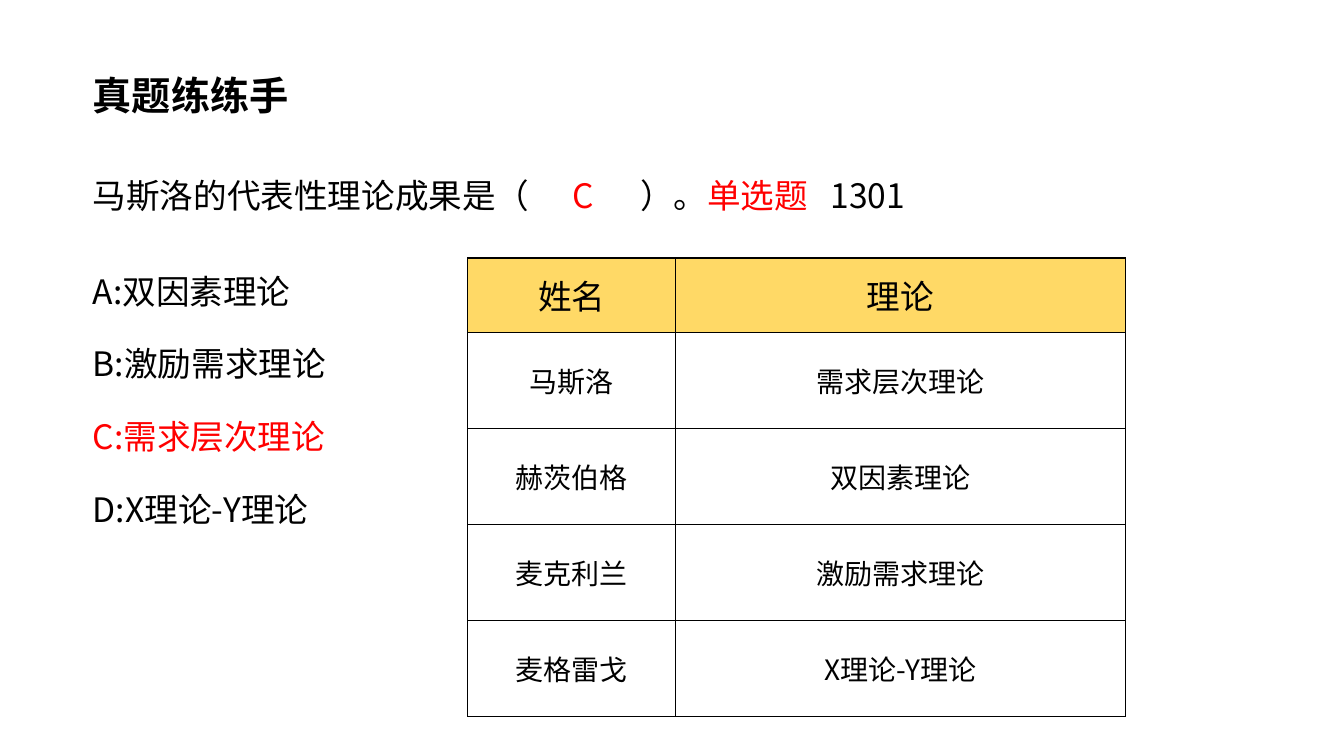
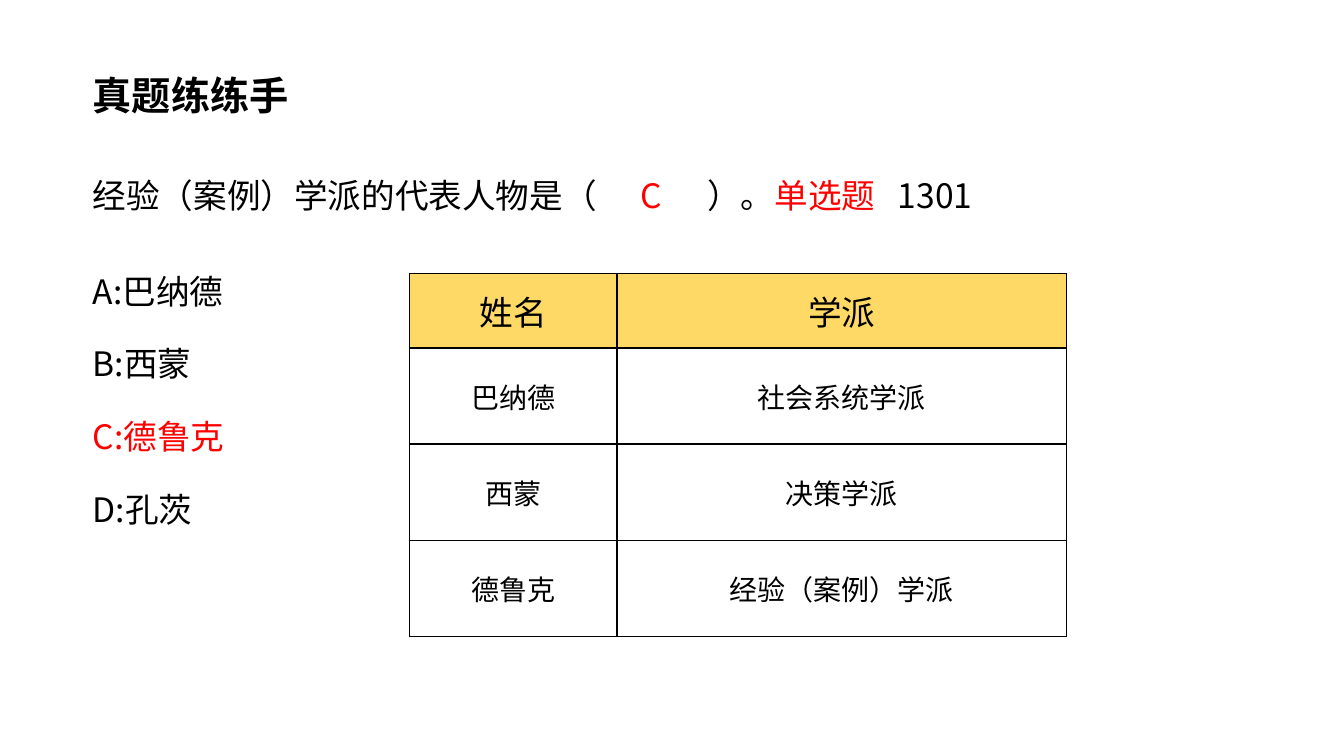
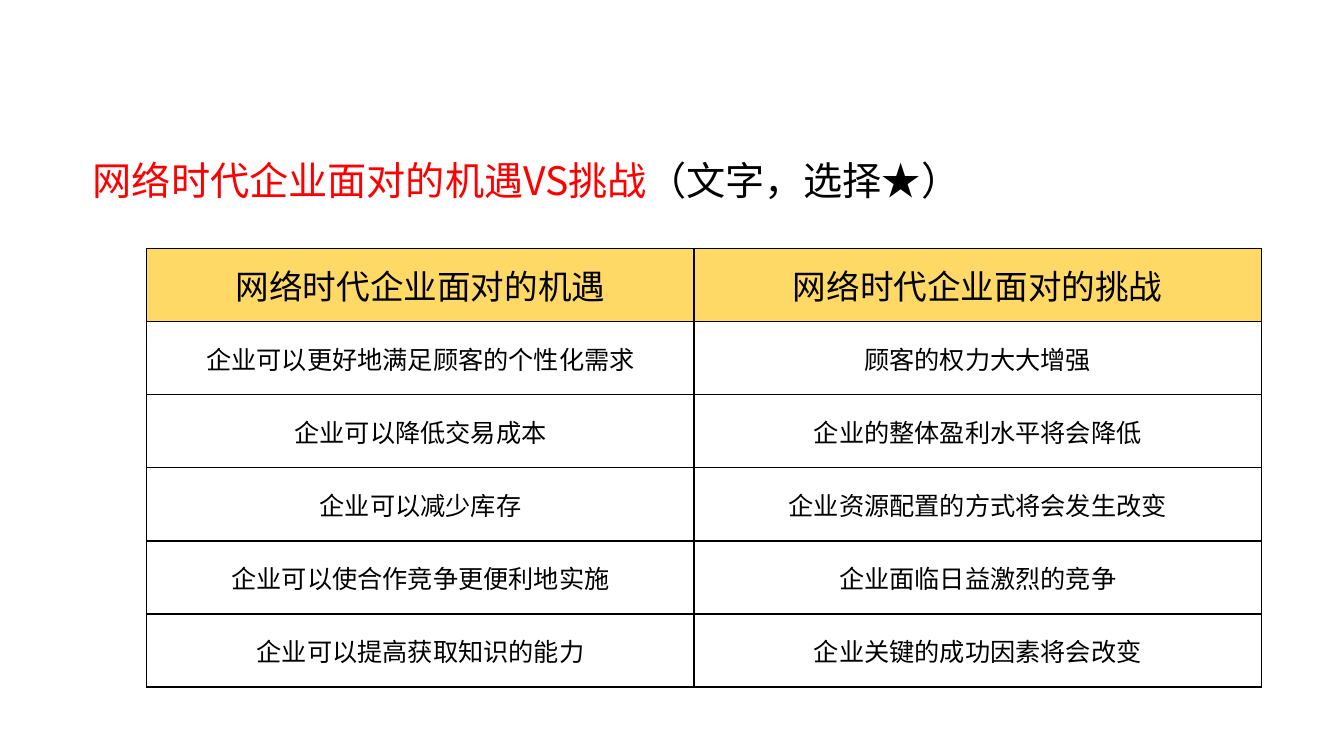
from pptx import Presentation
from pptx.dml.color import RGBColor
from pptx.enum.text import MSO_ANCHOR, MSO_AUTO_SIZE, PP_ALIGN
from pptx.oxml import parse_xml
from pptx.oxml.ns import nsdecls
from pptx.util import Cm, Pt

BLACK = RGBColor(0x00, 0x00, 0x00)
RED = RGBColor(0xFF, 0x00, 0x00)
GOLD = RGBColor(0xFF, 0xD9, 0x66)
TOP, MIDDLE = MSO_ANCHOR.TOP, MSO_ANCHOR.MIDDLE
CENTER = PP_ALIGN.CENTER
GROW = MSO_AUTO_SIZE.SHAPE_TO_FIT_TEXT
FONT_SC, FONT_JP = "Noto Sans CJK SC", "Noto Sans CJK JP"


class Deck:
    """Holds the shared style and the current slide."""

    LEFT = 2.04
    TITLE_PT, BODY_PT = 28, 24
    # Tab stops after the opening bracket: answer, closing bracket, exam code
    TAB_OFFSETS = (31, 79, 215)

    def __init__(self):
        self.prs = Presentation()
        self.prs.slide_width, self.prs.slide_height = Cm(33.87), Cm(19.05)
        self.s = None

    def new_slide(self):
        self.s = self.prs.slides.add_slide(self.prs.slide_layouts[6])

    def add_run(self, p, text, size, color=BLACK, font=FONT_SC, bold=False):
        r = p.add_run()
        r.text = text
        r.font.size, r.font.bold, r.font.name = Pt(size), bold, font
        r.font.color.rgb = color
        r.font._element.append(
            parse_xml(f'<a:ea {nsdecls("a")} typeface="{font}"/>'))

    def text_box(self, top, width, height, anchor=TOP):
        sp = self.s.shapes.add_textbox(
            Cm(self.LEFT), Cm(top), Cm(width), Cm(height))
        tf = sp.text_frame
        tf.word_wrap, tf.vertical_anchor = True, anchor
        tf.margin_left = tf.margin_right = Cm(0.3)
        tf.margin_top = tf.margin_bottom = Cm(0.15)
        return tf

    def title(self, text):
        tf = self.text_box(1.65, 24.51, 1.5)
        tf.auto_size = GROW
        self.add_run(tf.paragraphs[0], text, self.TITLE_PT, bold=True)

    def heading(self, topic, note):
        p = self.text_box(2.92, 30.89, 2.64, MIDDLE).paragraphs[0]
        p.line_spacing = 1.5
        self.add_run(p, topic, self.TITLE_PT, RED)
        self.add_run(p, note, self.TITLE_PT)

    def question(self, stem, answer, kind, code, options):
        tf = self.text_box(3.74, 29.08, 14)
        p = tf.paragraphs[0]
        stem_width = len(stem) * self.BODY_PT
        tabs = "".join(f'<a:tab pos="{Pt(stem_width + x)}" algn="l"/>'
                       for x in self.TAB_OFFSETS)
        p._p.get_or_add_pPr().append(
            parse_xml(f'<a:tabLst {nsdecls("a")}>{tabs}</a:tabLst>'))
        p.line_spacing = 1.5
        for text, color in ((stem + "\t", BLACK), (answer, RED),
                            ("\t）。", BLACK), (kind, RED),
                            ("\t" + code, BLACK)):
            self.add_run(p, text, self.BODY_PT, color)

        # Options, the right one in red
        for i, (letter, option) in enumerate(zip("ABCD", options)):
            p = tf.add_paragraph()
            p.line_spacing = 0.9
            p.space_before = Pt(26 if i else 43)
            self.add_run(p, f"{letter}:{option}", self.BODY_PT,
                         RED if letter == answer else BLACK)

    def border(self, cell):
        tcPr = cell._tc.get_or_add_tcPr()
        for side in "LRTB":
            tcPr.append(parse_xml(
                f'<a:ln{side} {nsdecls("a")} w="{Pt(1)}"><a:solidFill>'
                f'<a:srgbClr val="{BLACK}"/></a:solidFill></a:ln{side}>'))

    def table(self, left, top, widths, head_height, row_height, rows,
              size=20, font=FONT_JP):
        heights = [head_height] + [row_height] * (len(rows) - 1)
        tbl = self.s.shapes.add_table(
            len(rows), len(widths), Cm(left), Cm(top),
            Cm(sum(widths)), Cm(sum(heights))).table
        tbl.first_row = tbl.horz_banding = False
        for column, width in zip(tbl.columns, widths):
            column.width = Cm(width)
        for i, (row, height) in enumerate(zip(tbl.rows, heights)):
            row.height = Cm(height)
            for cell, text in zip(row.cells, rows[i]):
                self.border(cell)
                if i == 0:
                    cell.fill.solid()
                    cell.fill.fore_color.rgb = GOLD
                else:
                    cell.fill.background()
                cell.vertical_anchor = MIDDLE
                p = cell.text_frame.paragraphs[0]
                p.alignment = CENTER
                self.add_run(p, text, size if i else self.BODY_PT, font=font)


def main():
    deck = Deck()
    name_widths = (5.24, 11.33)

    # Theories
    deck.new_slide()
    deck.title("真题练练手")
    deck.question("马斯洛的代表性理论成果是（", "C", "单选题", "1301",
                  ("双因素理论", "激励需求理论", "需求层次理论", "X理论-Y理论"))
    deck.table(11.79, 6.5, name_widths, 1.88, 2.42, (
        ("姓名", "理论"),
        ("马斯洛", "需求层次理论"),
        ("赫茨伯格", "双因素理论"),
        ("麦克利兰", "激励需求理论"),
        ("麦格雷戈", "X理论-Y理论")))

    # Schools
    deck.new_slide()
    deck.title("真题练练手")
    deck.question("经验（案例）学派的代表人物是（", "C", "单选题", "1301",
                  ("巴纳德", "西蒙", "德鲁克", "孔茨"))
    deck.table(10.31, 6.89, name_widths, 1.88, 2.42, (
        ("姓名", "学派"),
        ("巴纳德", "社会系统学派"),
        ("西蒙", "决策学派"),
        ("德鲁克", "经验（案例）学派")))

    # Opportunities and challenges
    deck.new_slide()
    deck.heading("网络时代企业面对的机遇VS挑战", "（文字，选择★）")
    deck.table(3.7, 6.27, (13.79, 14.3), 1.84, 1.84, (
        ("网络时代企业面对的机遇", "网络时代企业面对的挑战"),
        ("企业可以更好地满足顾客的个性化需求", "顾客的权力大大增强"),
        ("企业可以降低交易成本", "企业的整体盈利水平将会降低"),
        ("企业可以减少库存", "企业资源配置的方式将会发生改变"),
        ("企业可以使合作竞争更便利地实施", "企业面临日益激烈的竞争"),
        ("企业可以提高获取知识的能力", "企业关键的成功因素将会改变")),
        size=18, font=FONT_SC)

    deck.prs.save("out.pptx")


if __name__ == "__main__":
    main()
